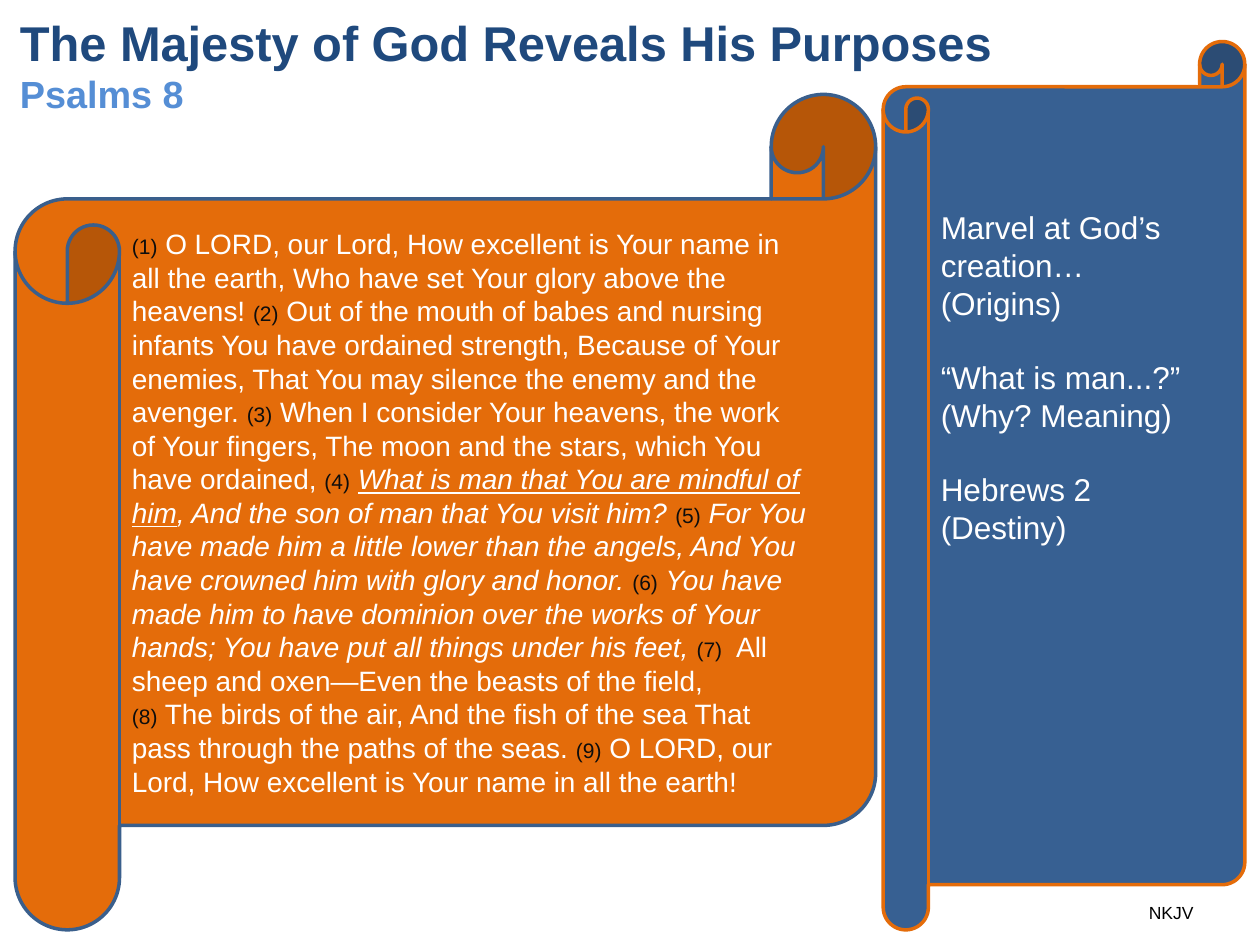
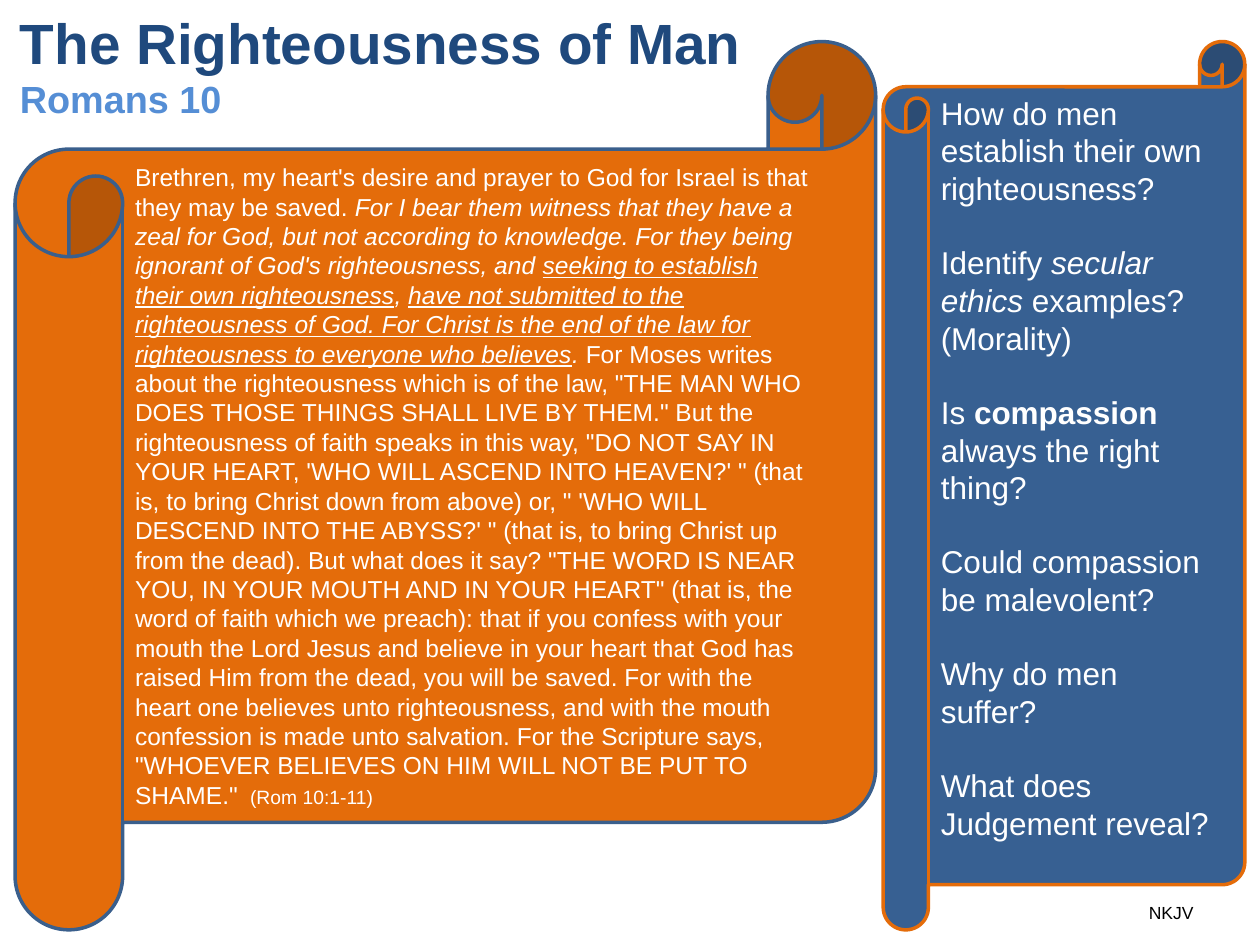
from pptx import Presentation
from pptx.dml.color import RGBColor
from pptx.enum.shapes import MSO_SHAPE
from pptx.enum.text import MSO_ANCHOR, PP_ALIGN
from pptx.util import Inches, Pt

FONT = "Arial"
NAVY = RGBColor(0x1F, 0x49, 0x7D)
SKY = RGBColor(0x55, 0x8E, 0xD5)
ORANGE = RGBColor(0xE4, 0x6C, 0x0A)
BLUE = RGBColor(0x37, 0x60, 0x92)
STEEL = RGBColor(0x3A, 0x5F, 0x8C)
WHITE = RGBColor(0xFF, 0xFF, 0xFF)
BLACK = RGBColor(0, 0, 0)
VERSE_BLACK = RGBColor(0x0D, 0x0D, 0x0D)

# Boxes are left, top, width, height in inches
TITLE_BOX = (0.06, 0.01, 9, 1)
SIDE_BOX = (7.01, 0.33, 2.87, 7.05)
VERSION_BOX = (9.02, 7.11, 0.56, 0.27)
SCROLL_BOTTOM = 7.38
SIDE_SIZE = 18
SIDE_LINE = 20.7  # points in one line of side text

# Run styles: i italic, u underlined, b bold, v verse number, s small reference
PSALM = [
    [("(1)", "v"),
     (" O LORD, our Lord, How excellent is Your name in all the earth, Who have set "
      "Your glory above the heavens! ", ""),
     ("(2)", "v"),
     (" Out of the mouth of babes and nursing infants You have ordained strength, "
      "Because of Your enemies, That You may silence the enemy and the avenger. ", ""),
     ("(3)", "v"),
     (" When I consider Your heavens, the work of Your fingers, The moon and the stars, "
      "which You have ordained, ", ""),
     ("(4)", "v"), (" ", ""),
     ("What is man that You are mindful of him", "iu"),
     (", And the son of man that You visit him? ", "i"),
     ("(5)", "v"), (" ", ""),
     ("For You have made him a little lower than the angels, And You have crowned him "
      "with glory and honor. ", "i"),
     ("(6)", "v"), (" ", ""),
     ("You have made him to have dominion over the works of Your hands; You have put "
      "all things under his feet, ", "i"),
     ("(7)", "v"),
     ("  All sheep and oxen—Even the beasts of the field,", "")],
    [("(8)", "v"),
     (" The birds of the air, And the fish of the sea That pass through the paths of "
      "the seas. ", ""),
     ("(9)", "v"),
     (" O LORD, our Lord, How excellent is Your name in all the earth!", "")],
]
ROMANS = [
    [("Brethren, my heart's desire and prayer to God for Israel is that they may be "
      "saved. ", ""),
     ("For I bear them witness that they have a zeal for God, but not according to "
      "knowledge. For they being ignorant of God's righteousness, and ", "i"),
     ("seeking to establish their own righteousness", "iu"),
     (", ", "i"),
     ("have not submitted to the righteousness of God. For Christ is the end of the law "
      "for righteousness to everyone who believes", "iu"),
     (". ", "i"),
     ("For Moses writes about the righteousness which is of the law, \"THE MAN WHO DOES "
      "THOSE THINGS SHALL LIVE BY THEM.\" But the righteousness of faith speaks in this "
      "way, \"DO NOT SAY IN YOUR HEART, 'WHO WILL ASCEND INTO HEAVEN?' \" (that is, to "
      "bring Christ down from above) or, \" 'WHO WILL DESCEND INTO THE ABYSS?' \" (that "
      "is, to bring Christ up from the dead). But what does it say? \"THE WORD IS NEAR "
      "YOU, IN YOUR MOUTH AND IN YOUR HEART\" (that is, the word of faith which we "
      "preach): that if you confess with your mouth the Lord Jesus and believe in your "
      "heart that God has raised Him from the dead, you will be saved. For with the "
      "heart one believes unto righteousness, and with the mouth confession is made unto "
      "salvation. For the Scripture says, \"WHOEVER BELIEVES ON HIM WILL NOT BE PUT TO "
      "SHAME.\" ", ""),
     (" (Rom 10:1-11)", "s")],
]
PSALM_QUESTIONS = [
    [("Marvel at God’s creation… (Origins)", "")],
    [("“What is man...?” (Why? Meaning)", "")],
    [("Hebrews 2 (Destiny)", "")],
]
ROMANS_QUESTIONS = [
    [("How do men establish their own righteousness?", "")],
    [("Identify ", ""), ("secular ethics", "i"), (" examples? (Morality)", "")],
    [("Is ", ""), ("compassion", "b"), (" always the right thing?", "")],
    [("Could compassion be malevolent?", "")],
    [("Why do men suffer?", "")],
    [("What does Judgement reveal?", "")],
]


def set_font(font, size, color):
    font.name = FONT
    font.size = Pt(size)
    font.color.rgb = color


def add_styled_run(paragraph, text, style, size):
    run = paragraph.add_run()
    run.text = text
    if "v" in style:
        set_font(run.font, 12, VERSE_BLACK)
    else:
        set_font(run.font, 11 if "s" in style else size, WHITE)
    if "i" in style:
        run.font.italic = True
    if "u" in style:
        run.font.underline = True
    if "b" in style:
        run.font.bold = True


def add_title(slide, box, heading, heading_size, passage):
    frame = slide.shapes.add_textbox(*map(Inches, box)).text_frame
    frame.word_wrap = True
    frame.vertical_anchor = MSO_ANCHOR.MIDDLE
    paragraph = frame.paragraphs[0]
    paragraph.font.bold = True
    heading_run = paragraph.add_run()
    heading_run.text = heading
    set_font(heading_run.font, heading_size, NAVY)
    paragraph.add_line_break()
    passage_run = paragraph.add_run()
    passage_run.text = passage
    set_font(passage_run.font, 21.6, SKY)


def add_scroll(slide, box, fill, line, paragraphs, size, gap=0, lines_below=0):
    """Draw a scroll; lines_below keeps that many side-text lines free at its foot."""
    scroll = slide.shapes.add_shape(MSO_SHAPE.HORIZONTAL_SCROLL, *map(Inches, box))
    scroll.shadow.inherit = False
    scroll.fill.solid()
    scroll.fill.fore_color.rgb = fill
    scroll.line.color.rgb = line
    scroll.line.width = Pt(2)
    frame = scroll.text_frame
    frame.word_wrap = True
    frame.vertical_anchor = MSO_ANCHOR.MIDDLE
    frame.margin_bottom = Inches(0.05) + Pt(lines_below * SIDE_LINE)
    for index, runs in enumerate(paragraphs):
        paragraph = frame.add_paragraph() if index else frame.paragraphs[0]
        paragraph.alignment = PP_ALIGN.LEFT
        if index and gap:
            paragraph.space_before = Pt(gap)
        for text, style in runs:
            add_styled_run(paragraph, text, style, size)


def add_version_note(slide, box):
    frame = slide.shapes.add_textbox(*map(Inches, box)).text_frame
    frame.word_wrap = False
    paragraph = frame.paragraphs[0]
    paragraph.text = "NKJV"
    set_font(paragraph.font, 10, BLACK)


def add_scripture_slide(presentation, heading, heading_size, passage, scripture,
                        scripture_size, scroll_top, questions, lines_below):
    slide = presentation.slides.add_slide(presentation.slide_layouts[6])
    add_title(slide, TITLE_BOX, heading, heading_size, passage)
    scripture_box = (0.12, scroll_top, 6.83, SCROLL_BOTTOM - scroll_top)
    add_scroll(slide, scripture_box, ORANGE, STEEL, scripture, scripture_size)
    add_scroll(slide, SIDE_BOX, BLUE, ORANGE, questions, SIDE_SIZE,
               gap=SIDE_LINE, lines_below=lines_below)
    add_version_note(slide, VERSION_BOX)


def main():
    presentation = Presentation()
    presentation.slide_width = Inches(10)
    presentation.slide_height = Inches(7.5)
    add_scripture_slide(presentation, "The Majesty of God Reveals His Purposes", 27.9,
                        "Psalms 8", PSALM, 16, 0.75, PSALM_QUESTIONS, 6)
    add_scripture_slide(presentation, "The Righteousness of Man", 32.4,
                        "Romans 10", ROMANS, 14, 0.33, ROMANS_QUESTIONS, 1)
    presentation.save("out.pptx")


if __name__ == "__main__":
    main()
